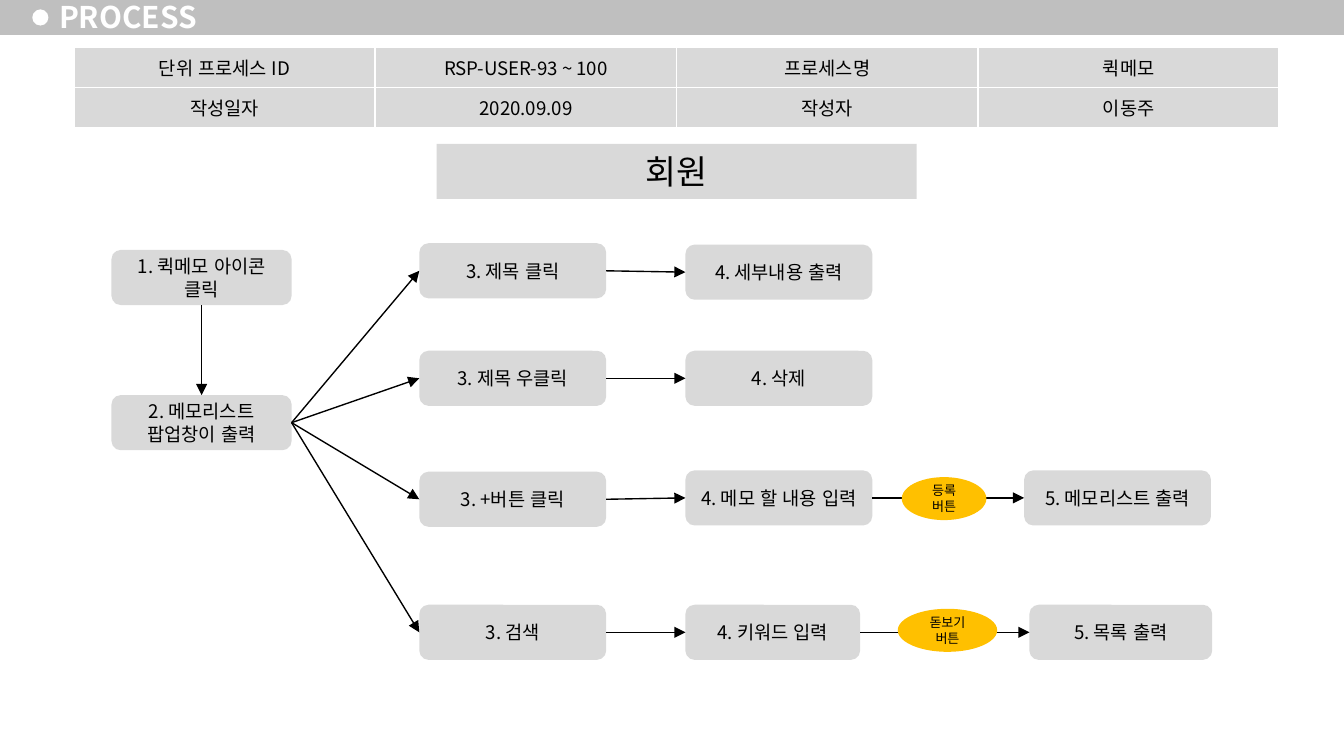
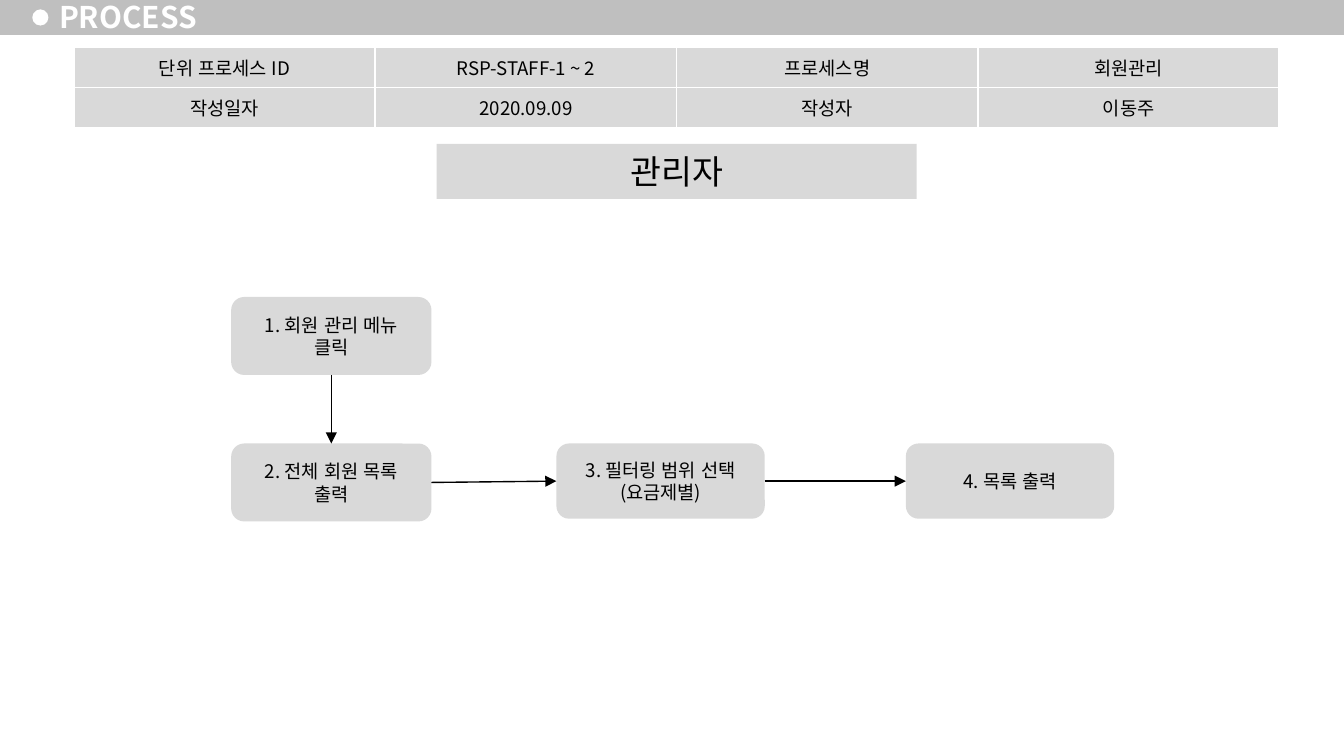
import itertools
from dataclasses import dataclass

import lxml.etree
import pptx
import pptx.dml.color
import pptx.enum.lang
import pptx.enum.shapes
import pptx.enum.text
import pptx.oxml.ns
import pptx.presentation
import pptx.shapes.autoshape
import pptx.slide
import pptx.text.text
import pptx.util

Inches = pptx.util.Inches
Pt = pptx.util.Pt
RGBColor = pptx.dml.color.RGBColor
SHAPE = pptx.enum.shapes.MSO_SHAPE
ALIGN = pptx.enum.text.PP_ALIGN
ANCHOR = pptx.enum.text.MSO_ANCHOR
qn = pptx.oxml.ns.qn

BAND_GREY = RGBColor(0xBF, 0xBF, 0xBF)
BOX_GREY = RGBColor(0xD9, 0xD9, 0xD9)
AMBER = RGBColor(0xFF, 0xC0, 0x00)
BLACK = RGBColor(0x00, 0x00, 0x00)
WHITE = RGBColor(0xFF, 0xFF, 0xFF)

FONT = "Noto Sans CJK KR"
BUTTON_FONT = "Arial"

# Connection sites of a rounded rectangle
TOP, LEFT, BOTTOM, RIGHT = range(4)


@dataclass(frozen=True)
class Box:
    text: str
    left: float
    top: float
    width: float
    height: float


@dataclass(frozen=True)
class Arrow:
    start: str
    end: str
    start_site: int = RIGHT
    end_site: int = LEFT


@dataclass(frozen=True)
class Process:
    role: str
    process_id: str
    name: str
    steps: dict[str, Box]
    arrows: list[Arrow]
    buttons: list[Box]


def member_step(text: str, left: float, top: float, width: float = 1.39) -> Box:
    return Box(text, left, top, width, 0.41)


MEMBER = Process(
    role="회원",
    process_id="RSP-USER-93 ~ 100",
    name="퀵메모",
    steps={
        "icon": member_step("1. 퀵메모 아이콘 클릭", 0.83, 1.86, 1.34),
        "popup": member_step("2. 메모리스트 팝업창이 출력", 0.83, 2.94, 1.34),
        "title": member_step("3. 제목 클릭", 3.12, 1.81),
        "right click": member_step("3. 제목 우클릭", 3.12, 2.61),
        "plus": member_step("3. +버튼 클릭", 3.12, 3.51),
        "search": member_step("3. 검색", 3.12, 4.5),
        "details": member_step("4. 세부내용 출력", 5.1, 1.82),
        "delete": member_step("4. 삭제", 5.1, 2.61),
        "content": member_step("4. 메모 할 내용 입력", 5.1, 3.5),
        "keyword": member_step("4. 키워드 입력", 5.1, 4.5, 1.3),
        "memo list": member_step("5. 메모리스트 출력", 7.62, 3.5),
        "results": member_step("5. 목록 출력", 7.66, 4.5, 1.36),
    },
    arrows=[
        Arrow("icon", "popup", BOTTOM, TOP),
        *(Arrow("popup", choice) for choice in ("title", "right click", "plus", "search")),
        Arrow("title", "details"),
        Arrow("right click", "delete"),
        Arrow("plus", "content"),
        Arrow("content", "memo list"),
        Arrow("search", "keyword"),
        Arrow("keyword", "results"),
    ],
    buttons=[
        Box("등록버튼", 6.71, 3.55, 0.63, 0.32),
        Box("돋보기버튼", 6.68, 4.53, 0.74, 0.32),
    ],
)

STAFF = Process(
    role="관리자",
    process_id="RSP-STAFF-1 ~ 2",
    name="회원관리",
    steps={
        "menu": Box("1. 회원 관리 메뉴 클릭", 1.72, 2.21, 1.49, 0.58),
        "members": Box("2. 전체 회원 목록 출력", 1.72, 3.3, 1.49, 0.58),
        "filter": Box("3. 필터링 범위 선택(요금제별)", 4.14, 3.3, 1.55, 0.56),
        "results": Box("4. 목록 출력", 6.74, 3.3, 1.55, 0.56),
    },
    arrows=[
        Arrow("menu", "members", BOTTOM, TOP),
        Arrow("members", "filter"),
        Arrow("filter", "results"),
    ],
    buttons=[],
)


def write(
    tf: pptx.text.text.TextFrame,
    text: str,
    size: float,
    font: str = FONT,
    color: RGBColor = BLACK,
    bold: bool = False,
    align: ALIGN = ALIGN.CENTER,
) -> None:
    """Put one run in the frame, with the Korean face set as well."""
    p = tf.paragraphs[0]
    p.alignment = align
    r = p.add_run()
    r.text = text
    r.font.size = Pt(size)
    r.font.bold = bold
    r.font.color.rgb = color
    r.font.name = font
    r.font.language_id = pptx.enum.lang.MSO_LANGUAGE_ID.KOREAN
    lxml.etree.SubElement(r.font._element, qn("a:ea"), typeface=FONT)


def add_box(
    s: pptx.slide.Slide,
    preset: SHAPE,
    box: Box,
    fill: RGBColor,
    size: float = 10,
    font: str = FONT,
    anchor: ANCHOR = ANCHOR.MIDDLE,
) -> pptx.shapes.autoshape.Shape:
    sp = s.shapes.add_shape(
        preset, Inches(box.left), Inches(box.top), Inches(box.width), Inches(box.height)
    )
    sp.shadow.inherit = False
    sp.fill.solid()
    sp.fill.fore_color.rgb = fill
    sp.line.fill.background()
    if box.text:
        sp.text_frame.word_wrap = True
        sp.text_frame.vertical_anchor = anchor
        write(sp.text_frame, box.text, size, font)
    return sp


def add_header(s: pptx.slide.Slide) -> None:
    add_box(s, SHAPE.RECTANGLE, Box("", 0, -0.02, 10, 0.28), BAND_GREY)
    add_box(s, SHAPE.OVAL, Box("", 0.24, 0.07, 0.12, 0.12), WHITE)
    title = s.shapes.add_textbox(Inches(0.35), Inches(-0.04), Inches(1.22), Inches(0.32))
    tf = title.text_frame
    tf.word_wrap = True
    tf.vertical_anchor = ANCHOR.MIDDLE
    tf.margin_left = tf.margin_right = Inches(0.09)
    tf.margin_top = tf.margin_bottom = Inches(0.04)
    write(tf, "PROCESS", 16, color=WHITE, bold=True, align=ALIGN.LEFT)


def add_info_table(s: pptx.slide.Slide, process: Process) -> None:
    rows = [
        ["단위 프로세스 ID", process.process_id, "프로세스명", process.name],
        ["작성일자", "2020.09.09", "작성자", "이동주"],
    ]
    frame = s.shapes.add_table(2, 4, Inches(0.55), Inches(0.35), Inches(8.97), Inches(0.6))
    table = frame.table
    for cell, text in zip(table.iter_cells(), itertools.chain.from_iterable(rows)):
        cell.fill.solid()
        cell.fill.fore_color.rgb = BOX_GREY
        cell.vertical_anchor = ANCHOR.MIDDLE
        cell.margin_left = cell.margin_right = Inches(0.1)
        cell.margin_top = cell.margin_bottom = Inches(0.05)
        write(cell.text_frame, text, 10)
        tc_pr = cell._tc.get_or_add_tcPr()
        for i, edge in enumerate(("a:lnL", "a:lnR", "a:lnT", "a:lnB")):
            ln = lxml.etree.Element(qn(edge), w=str(Pt(1)))
            fill = lxml.etree.SubElement(ln, qn("a:solidFill"))
            lxml.etree.SubElement(fill, qn("a:srgbClr"), val=str(WHITE))
            tc_pr.insert(i, ln)


def add_arrow(
    s: pptx.slide.Slide, shapes: dict[str, pptx.shapes.autoshape.Shape], arrow: Arrow
) -> None:
    line = s.shapes.add_connector(pptx.enum.shapes.MSO_CONNECTOR.STRAIGHT, 0, 0, 0, 0)
    line.begin_connect(shapes[arrow.start], arrow.start_site)
    line.end_connect(shapes[arrow.end], arrow.end_site)
    line.line.color.rgb = BLACK
    line.line.width = Pt(0.75)
    lxml.etree.SubElement(line.line._get_or_add_ln(), qn("a:tailEnd"), type="triangle")
    lxml.etree.SubElement(line._element.spPr, qn("a:effectLst"))


def add_process_slide(prs: pptx.presentation.Presentation, process: Process) -> None:
    s = prs.slides.add_slide(prs.slide_layouts[6])
    add_header(s)
    role = Box(process.role, 3.25, 1.07, 3.57, 0.41)
    add_box(s, SHAPE.RECTANGLE, role, BOX_GREY, size=18, anchor=ANCHOR.TOP)
    add_info_table(s, process)
    shapes = {
        key: add_box(s, SHAPE.ROUNDED_RECTANGLE, step, BOX_GREY)
        for key, step in process.steps.items()
    }
    for arrow in process.arrows:
        add_arrow(s, shapes, arrow)
    for button in process.buttons:
        add_box(s, SHAPE.OVAL, button, AMBER, size=7, font=BUTTON_FONT)


def main() -> None:
    prs = pptx.Presentation()
    prs.slide_width = Inches(10)
    prs.slide_height = Inches(10 * 9 / 16)
    for process in (MEMBER, STAFF):
        add_process_slide(prs, process)
    prs.save("out.pptx")


if __name__ == "__main__":
    main()
